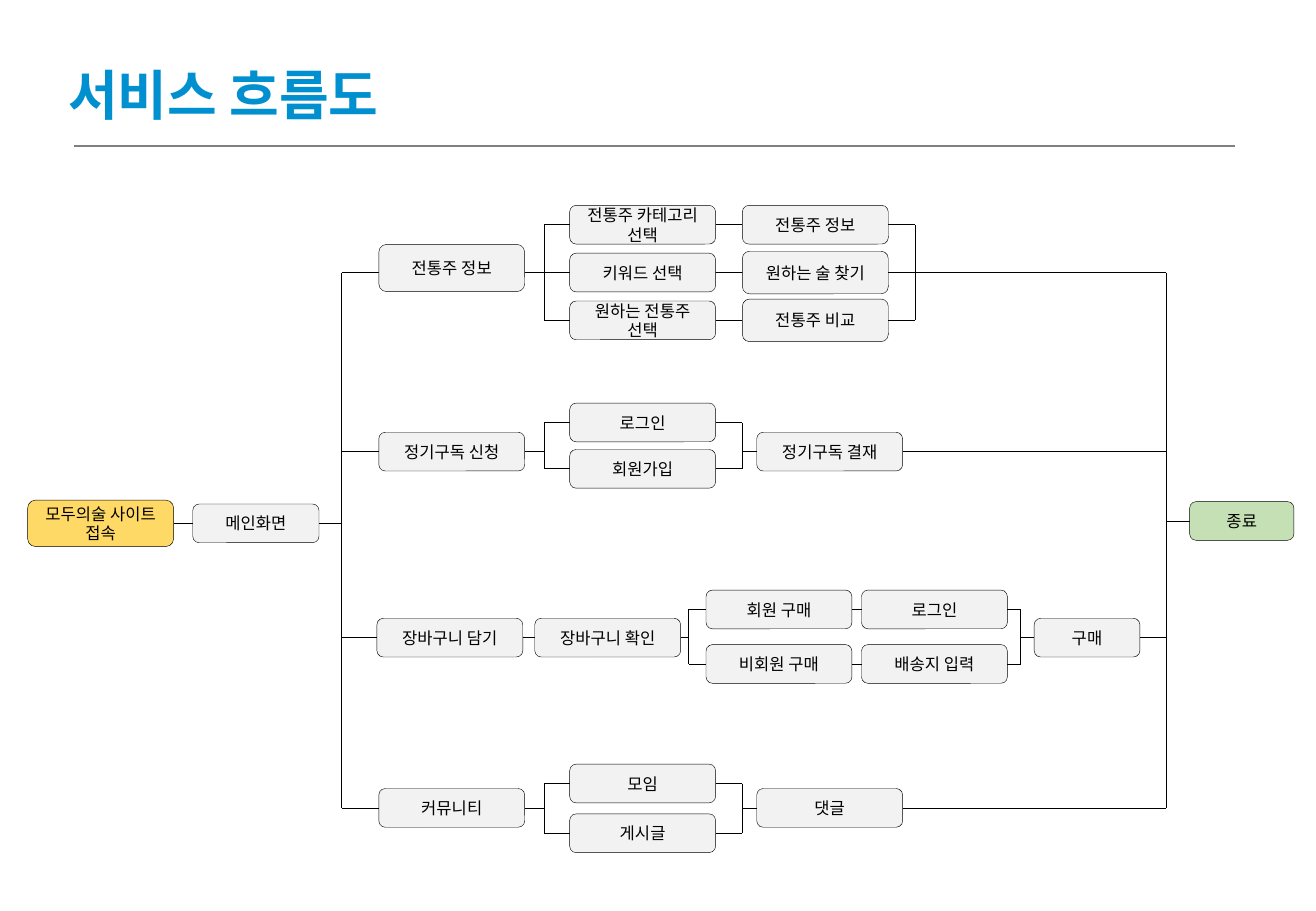
from collections import namedtuple
from dataclasses import dataclass

from lxml.etree import SubElement
from pptx import Presentation
from pptx.dml.color import RGBColor as Rgb
from pptx.enum.shapes import MSO_CONNECTOR as Connector, MSO_SHAPE as Shape
from pptx.enum.text import MSO_ANCHOR as Anchor, PP_ALIGN as Align
from pptx.oxml.ns import qn
from pptx.util import Cm, Pt

Box = namedtuple("Box", "left top width height")
LEFT, RIGHT = 1, 3
NODE_WIDTH, NODE_HEIGHT = 3.05, 0.81
TRUNK_LEFT, TRUNK_RIGHT = 7.14, 24.38
TRUNK_TOP, TRUNK_BOTTOM = 5.7, 16.89
LANE_LEFT = 7.92


@dataclass(frozen=True)
class Theme:
    title: Rgb = Rgb(0x00, 0x90, 0xD0)
    rule: Rgb = Rgb(0x80, 0x80, 0x80)
    ink: Rgb = Rgb(0x00, 0x00, 0x00)
    step: Rgb = Rgb(0xF2, 0xF2, 0xF2)
    entry: Rgb = Rgb(0xFF, 0xD9, 0x66)
    finish: Rgb = Rgb(0xC5, 0xE0, 0xB4)
    title_font: str = "Calibri"
    body_font: str = "Noto Sans CJK KR"
    title_size: float = 32
    body_size: float = 9.8
    outline: float = 0.25
    wire: float = 0.5
    rule_width: float = 1.5


THEME = Theme()


def format_text(paragraph, font_name, size, color, bold=False):
    for run in paragraph.runs:
        font = run.font
        font.name, font.size, font.bold = font_name, Pt(size), bold
        font.color.rgb = color
        SubElement(run._r.get_or_add_rPr(), qn("a:ea"), typeface=THEME.body_font)


def add_line(slide, start, end, color=THEME.ink, width=THEME.wire):
    line = slide.shapes.add_connector(Connector.STRAIGHT, *start, *end)
    line.line.color.rgb = color
    line.line.width = Pt(width)
    SubElement(line._element.spPr, qn("a:effectLst"))
    return line


def middle(shape):
    return shape.top + shape.height // 2


def wire(slide, start=None, end=None, source=None, target=None):
    if source is not None:
        start = (source.left + source.width, middle(source))
    if target is not None:
        end = (target.left, middle(target))
    line = add_line(slide, start, end)
    if source is not None:
        line.begin_connect(source, RIGHT)
    if target is not None:
        line.end_connect(target, LEFT)


def split(slide, x, nodes):
    for node in nodes:
        wire(slide, start=(x, middle(node)), target=node)
    wire(slide, (x, middle(nodes[0])), (x, middle(nodes[-1])))


def merge(slide, x, nodes):
    for node in nodes:
        wire(slide, source=node, end=(x, middle(node)))
    wire(slide, (x, middle(nodes[0])), (x, middle(nodes[-1])))


def add_node(slide, text, left, top, width=NODE_WIDTH, height=NODE_HEIGHT, fill=THEME.step):
    node = slide.shapes.add_shape(
        Shape.ROUNDED_RECTANGLE, Cm(left), Cm(top), Cm(width), Cm(height))
    node.shadow.inherit = False
    node.fill.solid()
    node.fill.fore_color.rgb = fill
    node.line.color.rgb = THEME.ink
    node.line.width = Pt(THEME.outline)
    frame = node.text_frame
    frame.word_wrap = True
    frame.vertical_anchor = Anchor.MIDDLE
    frame.text = text
    paragraph = frame.paragraphs[0]
    paragraph.alignment = Align.CENTER
    format_text(paragraph, THEME.body_font, THEME.body_size, THEME.ink)
    return node


def enter_lane(slide, node):
    wire(slide, start=(Cm(TRUNK_LEFT), middle(node)), target=node)


def leave_lane(slide, node):
    wire(slide, source=node, end=(Cm(TRUNK_RIGHT), middle(node)))


def add_heading(slide, box):
    title = slide.shapes.title
    title.left, title.top, title.width, title.height = map(Cm, box)
    frame = title.text_frame
    frame.text = "서비스 흐름도"
    frame.word_wrap = False
    frame.vertical_anchor = Anchor.MIDDLE
    paragraph = frame.paragraphs[0]
    paragraph.alignment = Align.LEFT
    format_text(paragraph, THEME.title_font, THEME.title_size, THEME.title, bold=True)
    rule_y = Cm(box.top + 1.91)
    add_line(slide, (Cm(box.left + 0.38), rule_y), (Cm(box.left + 24.64), rule_y),
             THEME.rule, THEME.rule_width)


def add_entry(slide, box):
    site = add_node(slide, "모두의술 사이트 접속", box.left, box.top,
                    height=box.height, fill=THEME.entry)
    home = add_node(slide, "메인화면", box.left + 3.45, box.top + 0.08, 2.64)
    wire(slide, source=site, target=home)
    wire(slide, source=home, end=(Cm(TRUNK_LEFT), middle(home)))


def add_finish(slide, box):
    finish = add_node(slide, "종료", *box, fill=THEME.finish)
    wire(slide, start=(Cm(TRUNK_RIGHT), middle(finish)), target=finish)


def add_trunks(slide):
    for x in (TRUNK_LEFT, TRUNK_RIGHT):
        wire(slide, (Cm(x), Cm(TRUNK_TOP)), (Cm(x), Cm(TRUNK_BOTTOM)))


def add_info_lane(slide, box):
    axis = box.top + box.height / 2
    wire(slide, (Cm(TRUNK_LEFT), Cm(axis)), (Cm(box.left), Cm(axis)))
    wire(slide, (Cm(box.left + NODE_WIDTH), Cm(axis)), (Cm(TRUNK_RIGHT), Cm(axis)))
    add_node(slide, "전통주 정보", box.left, axis - 0.59, height=0.99)
    rows = (("전통주 카테고리 선택", "전통주 정보", 0.81),
            ("키워드 선택", "원하는 술 찾기", 0.89),
            ("원하는 전통주 선택", "전통주 비교", 0.89))
    choices, results = [], []
    for row, (choice, result, height) in enumerate(rows):
        center = axis + row - 1
        choices.append(add_node(slide, choice, box.left + 3.99, center - NODE_HEIGHT / 2))
        results.append(add_node(slide, result, box.left + 7.6, center - height / 2,
                                height=height))
        wire(slide, source=choices[-1], target=results[-1])
    split(slide, Cm(box.left + 3.46), choices)
    merge(slide, Cm(box.left + 11.21), results)


def add_pair_lane(slide, box, first, pair, last, offset):
    pitch = box.height - NODE_HEIGHT
    start = add_node(slide, first, box.left, box.top + offset)
    options = [add_node(slide, text, box.left + 3.99, box.top + row * pitch)
               for row, text in enumerate(pair)]
    end = add_node(slide, last, box.left + 7.9, box.top + offset)
    fork_x, merge_x = Cm(box.left + 3.46), Cm(box.left + 7.6)
    enter_lane(slide, start)
    wire(slide, source=start, end=(fork_x, middle(start)))
    split(slide, fork_x, options)
    merge(slide, merge_x, options)
    wire(slide, start=(merge_x, middle(end)), target=end)
    leave_lane(slide, end)


def add_purchase_lane(slide, box):
    pitch = box.height - NODE_HEIGHT
    axis_top = box.top + 0.59
    cart = add_node(slide, "장바구니 담기", box.left, axis_top)
    check = add_node(slide, "장바구니 확인", box.left + 3.3, axis_top)
    buy = add_node(slide, "구매", box.left + 13.74, axis_top, 2.21)
    buyers, details = [], []
    for row, (buyer, detail) in enumerate((("회원 구매", "로그인"),
                                           ("비회원 구매", "배송지 입력"))):
        top = box.top + row * pitch
        buyers.append(add_node(slide, buyer, box.left + 6.88, top))
        details.append(add_node(slide, detail, box.left + 10.13, top))
        wire(slide, source=buyers[-1], target=details[-1])
    fork_x, merge_x = Cm(box.left + 6.52), Cm(box.left + 13.46)
    enter_lane(slide, cart)
    wire(slide, source=cart, target=check)
    wire(slide, source=check, end=(fork_x, middle(check)))
    split(slide, fork_x, buyers)
    merge(slide, merge_x, details)
    wire(slide, start=(merge_x, middle(buy)), target=buy)
    leave_lane(slide, buy)


def main():
    presentation = Presentation()
    presentation.slide_width, presentation.slide_height = Cm(27.51), Cm(19.05)
    slide = presentation.slides.add_slide(presentation.slide_layouts[5])
    add_heading(slide, Box(1.17, 1.14, 7.62, 1.63))
    add_trunks(slide)
    add_entry(slide, Box(0.58, 10.46, 6.09, 0.97))
    add_info_lane(slide, Box(LANE_LEFT, 4.29, 11.21, 2.82))
    add_pair_lane(slide, Box(LANE_LEFT, 8.43, 10.95, 1.78),
                  "정기구독 신청", ("로그인", "회원가입"), "정기구독 결재", 0.61)
    add_purchase_lane(slide, Box(7.88, 12.34, 15.95, 1.95))
    add_pair_lane(slide, Box(LANE_LEFT, 15.98, 10.95, 1.85),
                  "커뮤니티", ("모임", "게시글"), "댓글", 0.51)
    add_finish(slide, Box(24.87, 10.49, 2.18, NODE_HEIGHT))
    presentation.save("out.pptx")


if __name__ == "__main__":
    main()
